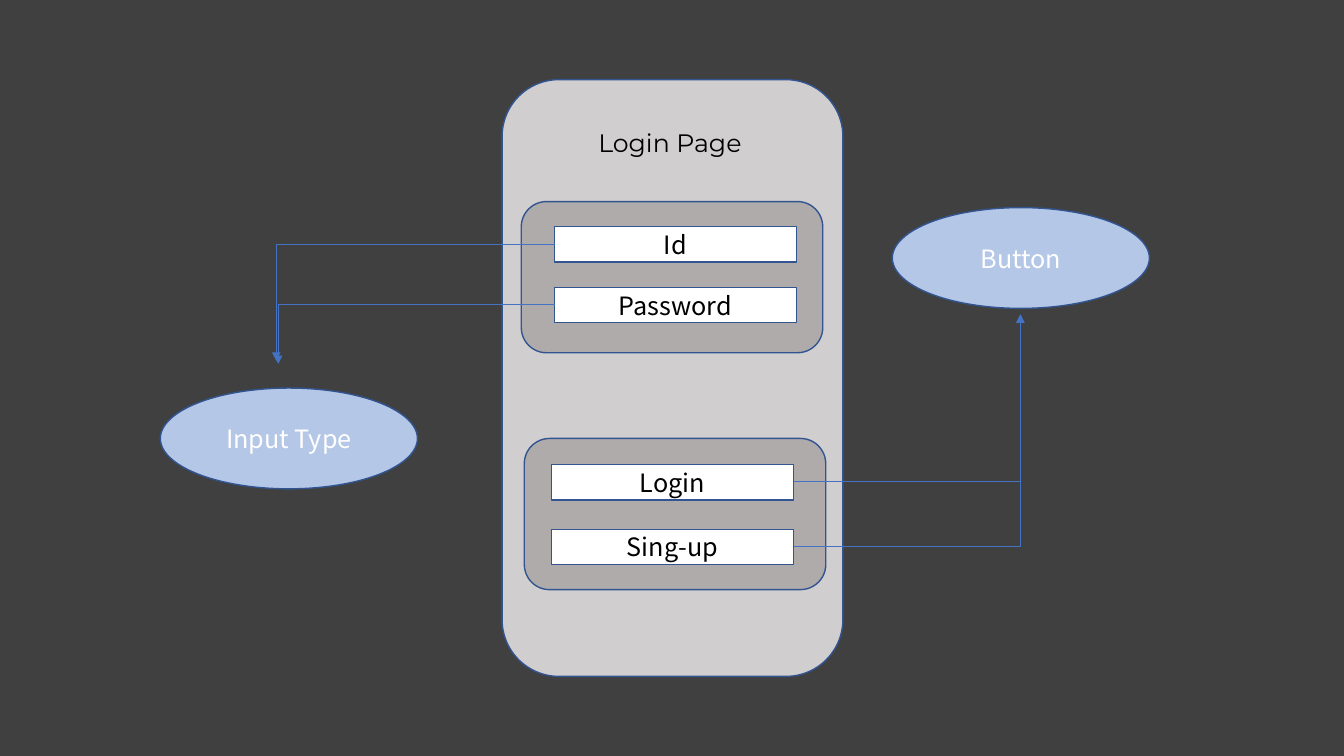
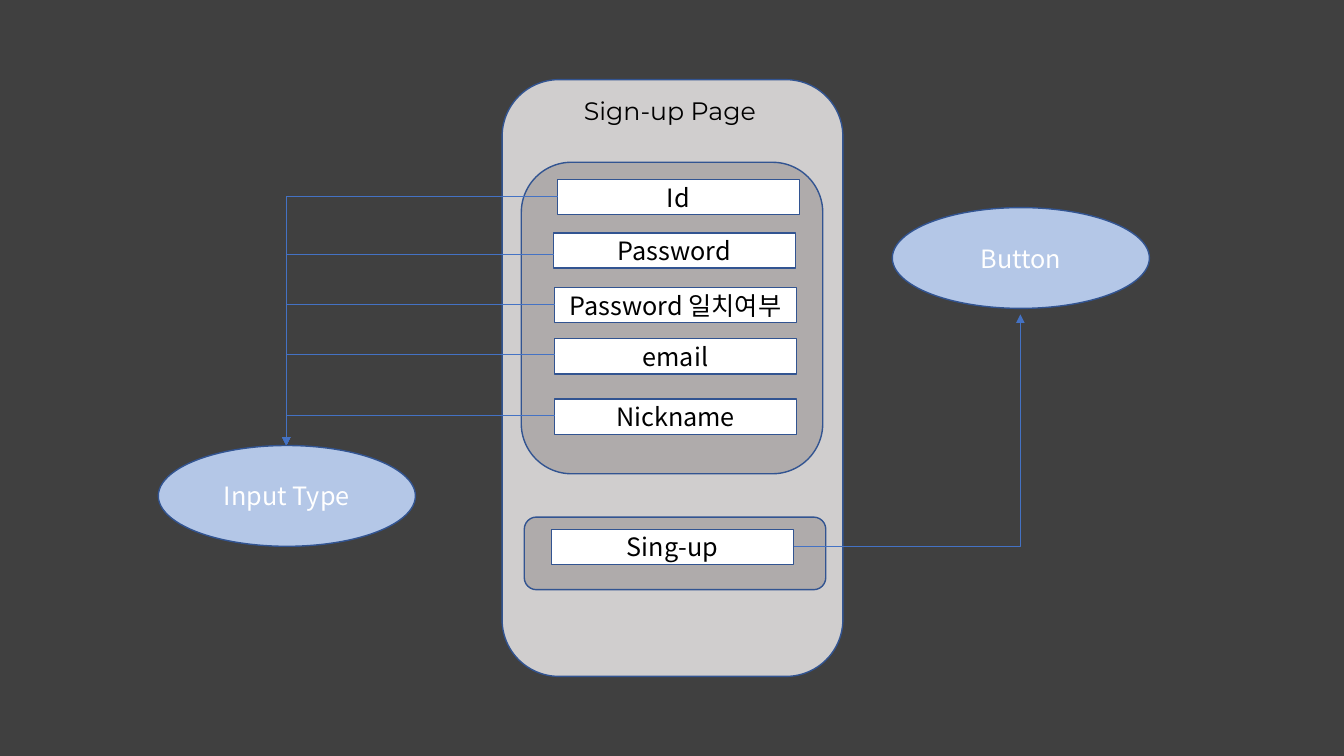
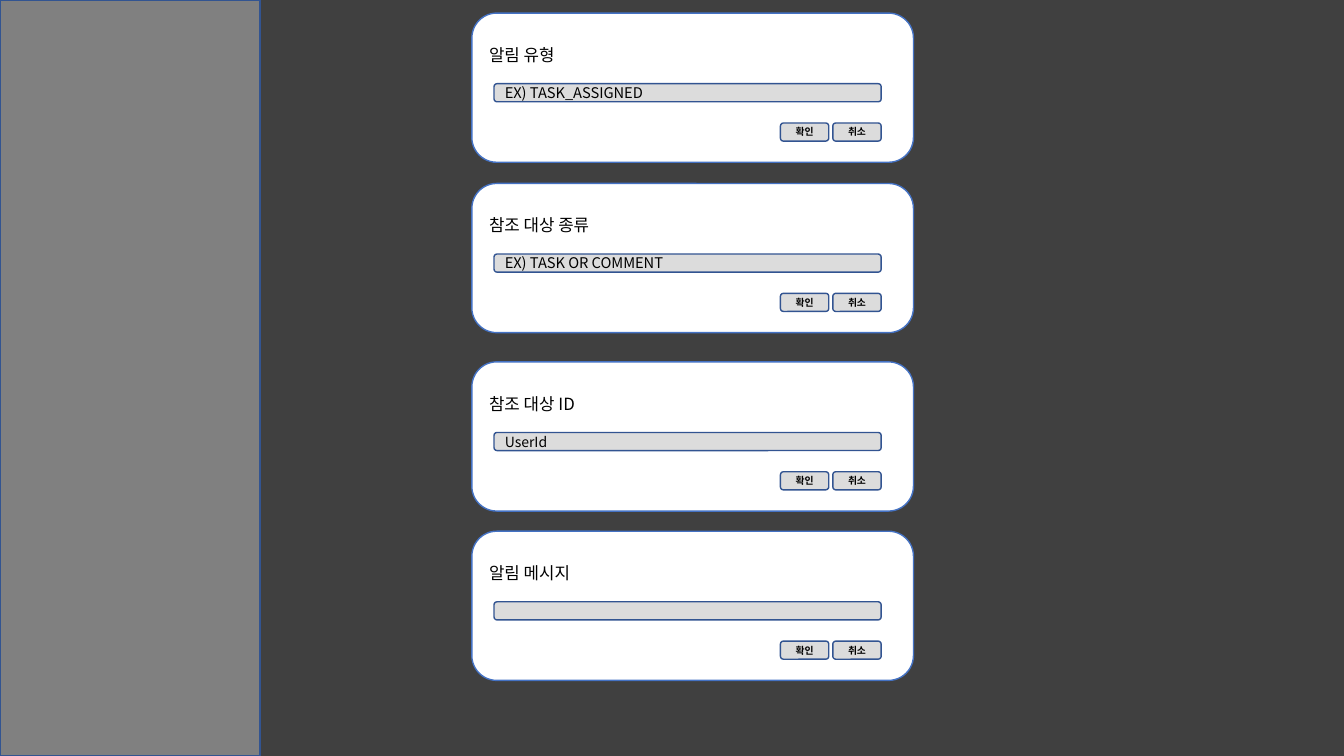
"""Builds wireframes of a login page, a sign-up page and notification cards."""
from lxml.etree import SubElement
from pptx import Presentation
from pptx.dml.color import RGBColor
from pptx.enum.shapes import MSO_CONNECTOR as Link, MSO_SHAPE as Preset
from pptx.enum.text import MSO_ANCHOR as Anchor, MSO_AUTO_SIZE as AutoSize, PP_ALIGN as Align
from pptx.oxml.ns import qn
from pptx.util import Inches, Pt

BACKDROP = RGBColor(0x40, 0x40, 0x40)
PHONE = RGBColor(0xD0, 0xCE, 0xCE)
GROUP = RGBColor(0xAF, 0xAB, 0xAB)
WHITE = RGBColor(0xFF, 0xFF, 0xFF)
BLACK = RGBColor(0x00, 0x00, 0x00)
SHADE = RGBColor(0x26, 0x26, 0x26)
SIDEBAR = RGBColor(0xD9, 0xD9, 0xD9)
PALE_BLUE = RGBColor(0xB4, 0xC7, 0xE7)
BLUE = RGBColor(0x44, 0x72, 0xC4)
OUTLINE = RGBColor(0x32, 0x54, 0x91)
BODY_FONT = "Noto Sans CJK KR"
TITLE_FONT = "Montserrat"


class Wireframe:
    """Holds the deck, its style and the current slide."""

    def __init__(self):
        self.deck = Presentation()
        self.deck.slide_width = Inches(13.33)
        self.deck.slide_height = Inches(7.5)
        self.page = None

    def new_page(self):
        self.page = self.deck.slides.add_slide(self.deck.slide_layouts[6])
        fill = self.page.background.fill
        fill.solid()
        fill.fore_color.rgb = BACKDROP

    def caption(self, box, text, size=18, color=BLACK, font=BODY_FONT, align=Align.CENTER, bold=False):
        para = box.text_frame.paragraphs[0]
        para.text = text
        para.alignment = align
        para.font.size = Pt(size)
        para.font.bold = bold
        para.font.color.rgb = color
        para.font.name = font
        defaults = para._p.pPr.find(qn("a:defRPr"))
        SubElement(defaults, qn("a:ea")).set("typeface", font)

    def shape(self, preset, left, top, width, height, color, line=OUTLINE, opacity=100):
        box = self.page.shapes.add_shape(
            preset, Inches(left), Inches(top), Inches(width), Inches(height))
        box.shadow.inherit = False
        box.fill.solid()
        box.fill.fore_color.rgb = color
        box.line.color.rgb = line
        box.line.width = Pt(1)
        if opacity < 100:
            tint = box.element.spPr.find(qn("a:solidFill")).find(qn("a:srgbClr"))
            SubElement(tint, qn("a:alpha")).set("val", str(opacity * 1000))
        return box

    def phone(self, title, title_top):
        self.shape(Preset.ROUNDED_RECTANGLE, 4.98, 0.79, 3.38, 5.92, PHONE)
        box = self.page.shapes.add_textbox(
            Inches(5.38), Inches(title_top), Inches(2.53), Inches(0.4))
        box.text_frame.word_wrap = True
        box.text_frame.auto_size = AutoSize.SHAPE_TO_FIT_TEXT
        self.caption(box, title, font=TITLE_FONT)

    def group(self, left, top, height):
        self.shape(Preset.ROUNDED_RECTANGLE, left, top, 2.99, height, GROUP)

    def entry(self, text, left, top):
        self.caption(self.shape(Preset.RECTANGLE, left, top, 2.4, 0.35, WHITE), text)

    def label(self, text, left, top):
        self.caption(self.shape(Preset.OVAL, left, top, 2.55, 1, PALE_BLUE), text, color=WHITE)

    def arrow(self, left, top, end_left, end_top):
        link = self.page.shapes.add_connector(
            Link.ELBOW, Inches(left), Inches(top), Inches(end_left), Inches(end_top))
        link.line.color.rgb = BLUE
        link.line.width = Pt(0.5)
        properties = link.element.spPr
        properties.find(qn("a:prstGeom")).set("prst", "bentConnector2")
        frame = properties.find(qn("a:xfrm"))
        if end_left < left:
            del frame.attrib["flipH"]
            frame.set("rot", "10800000")
            frame.set("flipV", "1")
        SubElement(properties.find(qn("a:ln")), qn("a:tailEnd")).set("type", "triangle")
        SubElement(properties, qn("a:effectLst"))

    def pill(self, left, top, width):
        return self.shape(Preset.ROUNDED_RECTANGLE, left, top, width, 0.18, SHADE, opacity=16)

    def card(self, top, title, example, size):
        box = self.shape(Preset.ROUNDED_RECTANGLE, 4.68, top, 4.38, 1.48, WHITE, line=BLUE)
        box.text_frame.vertical_anchor = Anchor.TOP
        box.text_frame.margin_top = Inches(0.24)
        self.caption(box, title, 12, align=Align.LEFT)
        field = self.pill(4.9, top + 0.7, 3.84)
        if example:
            self.caption(field, example, size, align=Align.LEFT)
        for left, choice in ((7.74, "확인"), (8.26, "취소")):
            self.caption(self.pill(left, top + 1.09, 0.48), choice, 7, bold=True)


def login_page(frame):
    frame.new_page()
    frame.phone("Login Page", 1.21)
    frame.group(5.17, 2, 1.5)
    frame.group(5.2, 4.35, 1.5)
    for text, top, end_left, end_top in (("Id", 2.25, 2.74, 3.58), ("Password", 2.85, 2.76, 3.61)):
        frame.entry(text, 5.5, top)
        frame.arrow(5.5, top + 0.17, end_left, end_top)
    for text, top in (("Login", 4.61), ("Sing-up", 5.25)):
        frame.entry(text, 5.47, top)
        frame.arrow(7.87, top + 0.17, 10.12, 3.12)
    frame.label("Button", 8.85, 2.06)
    frame.label("Input Type", 1.59, 3.85)


def sign_up_page(frame):
    frame.new_page()
    frame.phone("Sign-up Page", 0.9)
    frame.group(5.17, 1.61, 3.09)
    frame.group(5.2, 5.13, 0.72)
    entries = (
        ("Id", 5.53, 1.78, 1.95),
        ("Password", 5.49, 2.31, 2.52),
        ("Password 일치여부", 5.5, 2.85, 3.02),
        ("email", 5.5, 3.36, 3.52),
        ("Nickname", 5.5, 3.96, 4.12),
    )
    for text, left, top, arrow_top in entries:
        frame.entry(text, left, top)
        frame.arrow(left, arrow_top, 2.84, 4.42)
    frame.entry("Sing-up", 5.47, 5.25)
    frame.arrow(7.87, 5.42, 10.12, 3.12)
    frame.label("Button", 8.85, 2.06)
    frame.label("Input Type", 1.57, 4.42)


def notification_page(frame):
    frame.new_page()
    frame.shape(Preset.RECTANGLE, 0, 0, 2.58, 7.5, SIDEBAR, opacity=42)
    cards = (
        (0.13, "알림 유형", "EX) TASK_ASSIGNED", 10.5),
        (1.82, "참조 대상 종류", "EX) TASK OR COMMENT", 10.5),
        (3.59, "참조 대상 ID", "UserId", 10),
        (5.27, "알림 메시지", "", 10.5),
    )
    for card in cards:
        frame.card(*card)


def main():
    frame = Wireframe()
    login_page(frame)
    sign_up_page(frame)
    notification_page(frame)
    frame.deck.save("out.pptx")


if __name__ == "__main__":
    main()
